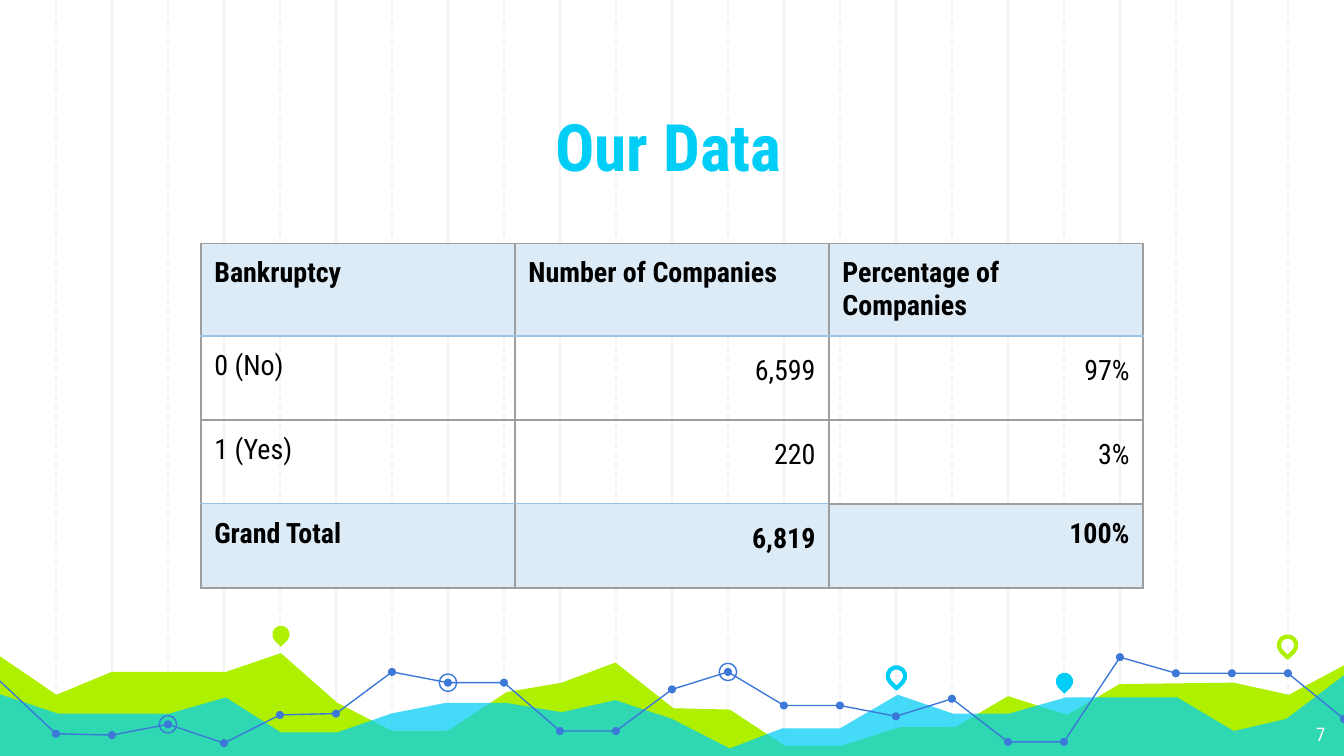
"""Build the "Our Data" slide: a bankruptcy table above a decorative chart skyline."""
import lxml.etree
import pptx
import pptx.dml.color
import pptx.enum.dml
import pptx.enum.shapes
import pptx.enum.text
import pptx.oxml.ns
import pptx.util

Inches = pptx.util.Inches
Pt = pptx.util.Pt
RGBColor = pptx.dml.color.RGBColor
Shape = pptx.enum.shapes.MSO_SHAPE
Align = pptx.enum.text.PP_ALIGN
Anchor = pptx.enum.text.MSO_ANCHOR
qn = pptx.oxml.ns.qn

THEME = {
    "font": "Roboto Condensed",
    "cyan": "00CEF6", "lime": "AFF000", "blue": "3C78D8", "grid": "F3F3F3",
    "white": "FFFFFF", "black": "000000", "band": "DDEBF7",
    "border": "9E9E9E", "band border": "9BC2E6",
    "title size": 35, "table size": 15, "number size": 10,
}
MARGINS = {f"margin_{side}": Inches(0.1) for side in ("left", "right", "top", "bottom")}


def style_shape(shape, fill=None, line=None, width=0.75):
    """Give a shape a plain fill and outline, with no shadow."""
    shape.shadow.inherit = False
    for part, color in ((shape.fill, fill), (shape.line.fill, line)):
        if color:
            part.solid()
            part.fore_color.rgb = RGBColor.from_string(THEME[color])
        else:
            part.background()
    if line:
        shape.line.width = Pt(width)


def write_text(text_frame, text, size, color, bold=False, **paragraph_format):
    """Write one formatted paragraph."""
    paragraph = text_frame.paragraphs[0]
    run = paragraph.add_run()
    run.text = text
    font_format = {"name": THEME["font"], "size": Pt(THEME[size]), "bold": bold}
    for target, values in ((paragraph, paragraph_format), (run.font, font_format)):
        for name, value in values.items():
            setattr(target, name, value)
    run.font.color.rgb = RGBColor.from_string(THEME[color])


presentation = pptx.Presentation()
presentation.slide_width = Inches(10)
presentation.slide_height = Inches(10) * 9 // 16
slide = presentation.slides.add_slide(presentation.slide_layouts[5])
shapes = slide.shapes
step = 10 / 24

for column in range(1, 24):
    x = Inches(column * step)
    grid_line = shapes.add_connector(pptx.enum.shapes.MSO_CONNECTOR.STRAIGHT, x, 0, x, Inches(5.65))
    grid_line.line.color.rgb = RGBColor.from_string(THEME["grid"])
    grid_line.line.width = Pt(0.75)
    if column % 2:
        grid_line.line.dash_style = pptx.enum.dml.MSO_LINE.DASH
    lxml.etree.SubElement(grid_line.element.spPr, qn("a:effectLst"))

lime_points = [
    (-0.02, 4.87), (0.42, 5.17), (0.83, 5), (1.68, 5), (2.09, 4.86), (2.51, 5.23),
    (2.92, 5.44), (3.33, 5.44), (3.77, 5.15), (4.18, 5.08), (4.58, 4.93), (5.01, 5.27),
    (5.43, 5.28), (5.84, 5.55), (6.26, 5.55), (6.7, 5.41), (7.11, 5.41), (7.5, 5.18),
    (7.94, 5.32), (8.33, 5.09), (9.18, 5.08), (9.59, 5.17), (10.02, 4.94),
]
cyan_points = [
    (-0.02, 5.16), (0.43, 5.31), (1.26, 5.31), (1.68, 5.19), (2.09, 5.45), (2.51, 5.45),
    (2.91, 5.31), (3.32, 5.23), (3.76, 5.23), (4.18, 5.3), (4.58, 5.21), (5, 5.35),
    (5.43, 5.57), (5.82, 5.42), (6.25, 5.42), (6.68, 5.17), (7.09, 5.31), (7.51, 5.31),
    (7.93, 5.19), (8.76, 5.19), (9.18, 5.44), (9.57, 5.35), (10.02, 5.01),
]
dot_heights = [
    5.46, 5.47, 5.39, 5.53, 5.32, 5.31, 5, 5.08, 5.08, 5.44, 5.44, 5.13,
    5, 5.25, 5.25, 5.33, 5.2, 5.52, 5.52, 4.89, 5.01, 5.01, 5.01, 5.35,
]
dots = [(number * step, y) for number, y in enumerate(dot_heights, start=1)]
trend_points = [(-0.01, 5.06)] + dots

outlines = [
    (lime_points + [(10.01, 5.64), (-0.03, 5.64)], True, {"fill": "lime"}),
    (cyan_points + [(10.02, 5.65), (-0.03, 5.65)], True, {"fill": "cyan"}),
]
outlines += [
    (trend_points[first:last + 1], False, {"line": "blue"})
    for first, last in ((0, 11), (11, 20), (20, 24))
]
for points, closed, style in outlines:
    corners = [(Inches(x), Inches(y)) for x, y in points]
    builder = shapes.build_freeform(*corners[0])
    builder.add_line_segments(corners[1:], close=closed)
    outline = builder.convert_to_shape()
    style_shape(outline, **style)
    if style.get("fill") == "cyan":
        color = outline.element.spPr.find(".//" + qn("a:srgbClr"))
        lxml.etree.SubElement(color, qn("a:alpha"), val="73000")

markers = [(Shape.OVAL, x, y, 0.06, {"fill": "blue"}) for x, y in dots]
markers += [(Shape.OVAL, *dots[index], 0.13, {"line": "blue"}) for index in (2, 7, 12)]
markers += [
    (Shape.TEAR, 2.09, 4.72, 0.13, {"fill": "lime"}),
    (Shape.TEAR, 6.67, 5.03, 0.13, {"line": "cyan", "width": 2.25}),
    (Shape.TEAR, 7.92, 5.07, 0.13, {"fill": "cyan"}),
    (Shape.TEAR, 9.58, 4.8, 0.13, {"line": "lime", "width": 2.25}),
]
for kind, x, y, size, style in markers:
    marker = shapes.add_shape(
        kind, Inches(x - size / 2), Inches(y - size / 2), Inches(size), Inches(size))
    style_shape(marker, **style)
    if kind == Shape.TEAR:
        marker.rotation = 135

title = shapes.title
title.element.getparent().append(title.element)
page_number = shapes.add_textbox(Inches(9.36), Inches(5.28), Inches(0.6), Inches(0.35))
title_place = {"left": Inches(1.15), "top": Inches(0.69), "width": Inches(7.65), "height": Inches(0.78)}
frame_format = {"word_wrap": True, "auto_size": pptx.enum.text.MSO_AUTO_SIZE.NONE, **MARGINS}
for target, values in (
    (title, title_place),
    (title.text_frame, {**frame_format, "vertical_anchor": Anchor.BOTTOM}),
    (page_number.text_frame, {**frame_format, "vertical_anchor": Anchor.TOP}),
):
    for name, value in values.items():
        setattr(target, name, value)
write_text(title.text_frame, "Our Data", "title size", "cyan", True, alignment=Align.CENTER)
write_text(page_number.text_frame, "7", "number size", "white", alignment=Align.RIGHT)

records = [
    ("Bankruptcy", "Number of Companies", "Percentage of Companies"),
    ("0 (No)", "6,599", "97%"),
    ("1 (Yes)", "220", "3%"),
    ("Grand Total", "6,819", "100%"),
]
band_edges = {(1, 0), (1, 1), (1, 2), (3, 0), (3, 1)}
table_width = Inches(7.01)
table_left = (presentation.slide_width - table_width) // 2
table = shapes.add_table(4, 3, table_left, Inches(1.81), table_width, Inches(2.5)).table
table.first_row = table.horz_banding = False
for column in table.columns:
    column.width = table_width // 3
table.rows[0].height = Inches(0.6)
for row_index, record in enumerate(records):
    banded = row_index in (0, 3)
    for column_index, text in enumerate(record):
        cell = table.cell(row_index, column_index)
        for name, value in {**MARGINS, "vertical_anchor": Anchor.TOP}.items():
            setattr(cell, name, value)
        paragraph_format = {"alignment": Align.LEFT}
        if row_index and column_index:
            paragraph_format["alignment"] = Align.RIGHT
            if text != "100%":
                paragraph_format["line_spacing"] = 1.15
        write_text(cell.text_frame, text, "table size", "black", banded, **paragraph_format)

        properties = cell._tc.get_or_add_tcPr()
        for side, edge_row in (("L", None), ("R", None), ("T", row_index), ("B", row_index + 1)):
            on_band = (edge_row, column_index) in band_edges
            border = lxml.etree.SubElement(
                properties, qn(f"a:ln{side}"), w=str(Pt(0.67 if on_band else 0.75)))
            fill = lxml.etree.SubElement(border, qn("a:solidFill"))
            color = THEME["band border" if on_band else "border"]
            lxml.etree.SubElement(fill, qn("a:srgbClr"), val=color)
        if banded:
            cell.fill.solid()
            cell.fill.fore_color.rgb = RGBColor.from_string(THEME["band"])
        else:
            cell.fill.background()

presentation.save("out.pptx")
